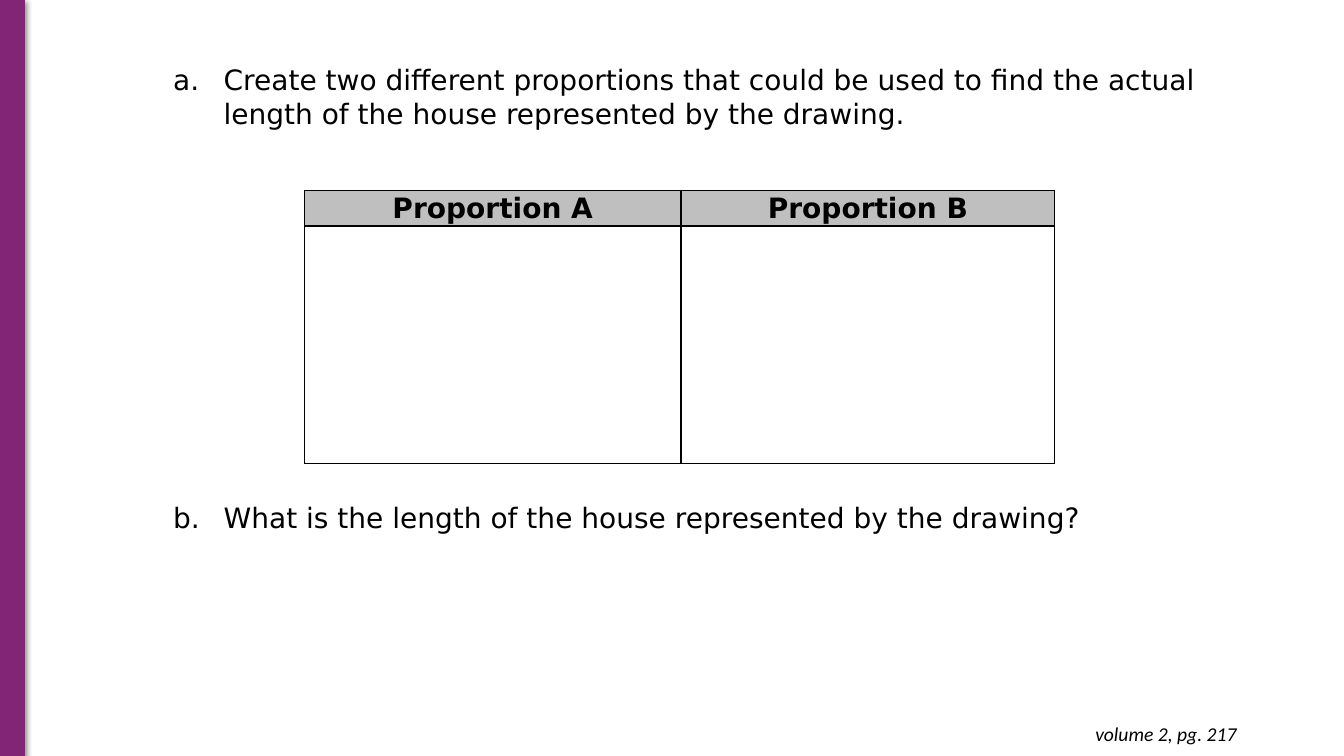
"""Build the slide on finding a house's length with two proportions."""
from dataclasses import dataclass

from lxml.etree import SubElement
from pptx import Presentation
from pptx.dml.color import RGBColor as RGB
from pptx.enum.shapes import MSO_SHAPE as SHAPE
from pptx.enum.text import MSO_AUTO_SIZE as FIT, MSO_ANCHOR as ANCHOR, PP_ALIGN as ALIGN
from pptx.oxml import parse_xml
from pptx.oxml.ns import nsdecls, qn
from pptx.util import Pt


@dataclass(frozen=True)
class Theme:
    accent: RGB = RGB(0x82, 0x25, 0x74)
    ink: RGB = RGB(0, 0, 0)
    header: RGB = RGB(0xBF, 0xBF, 0xBF)
    lesson_font: str = "DejaVu Sans"
    page_font: str = "Calibri"
    lesson_size: int = 20
    page_size: int = 14


THEME = Theme()


def style(paragraph, name, size, bold=False, italic=False):
    font = paragraph.font
    font.name, font.size = name, Pt(size)
    font.bold, font.italic = bold, italic
    font.color.rgb = THEME.ink


def outline(cell):
    for side in ("lnL", "lnR", "lnT", "lnB"):
        cell._tc.get_or_add_tcPr().append(parse_xml(
            f'<a:{side} {nsdecls("a")} w="{Pt(1)}"><a:solidFill>'
            f'<a:srgbClr val="{THEME.ink}"/></a:solidFill></a:{side}>'))


prs = Presentation()
prs.slide_width, prs.slide_height = Pt(960), Pt(540)
slide = prs.slides.add_slide(prs.slide_layouts[1])
unused_title = slide.shapes.title.element
unused_title.getparent().remove(unused_title)

side_bar = slide.shapes.add_shape(SHAPE.RECTANGLE, 0, 0, Pt(17.5), Pt(540.5))
side_bar.fill.solid()
side_bar.fill.fore_color.rgb = side_bar.line.color.rgb = THEME.accent
side_bar.line.width = Pt(0.75)
side_bar.shadow.inherit = False
side_bar.element.spPr.find(qn("a:effectLst")).append(parse_xml(
    f'<a:outerShdw {nsdecls("a")} blurRad="{Pt(4.5)}" dist="{Pt(1.5)}" dir="5400000">'
    f'<a:srgbClr val="{THEME.ink}"><a:alpha val="50000"/></a:srgbClr></a:outerShdw>'))

questions = slide.placeholders[1]
questions.left, questions.top = Pt(116.5), Pt(41)
questions.width, questions.height = Pt(772), Pt(371)
question_text = questions.text_frame
question_text.auto_size = FIT.NONE
question_text.vertical_anchor = ANCHOR.TOP
question_text.text = (
    "Create two different proportions that could be used to find the actual "
    "length of the house represented by the drawing.\n"
    "What is the length of the house represented by the drawing?")
for question, gap in zip(question_text.paragraphs, (0, 265)):
    question.space_before = Pt(gap)
    indent = question._p.get_or_add_pPr()
    indent.set("marL", str(Pt(36)))
    indent.set("indent", str(Pt(-36)))
    SubElement(indent, qn("a:buFont"), typeface=THEME.lesson_font)
    SubElement(indent, qn("a:buAutoNum"), type="alphaLcPeriod")
    style(question, THEME.lesson_font, THEME.lesson_size)

proportions = slide.shapes.add_table(
    2, 2, Pt(217.5), Pt(136), Pt(536), Pt(195)).table
for column, width in zip(proportions.columns, (269, 267)):
    column.width = Pt(width)
for row, height in zip(proportions.rows, (25.5, 169.5)):
    row.height = Pt(height)
for cell in proportions.iter_cells():
    outline(cell)
    cell.fill.background()
for heading, label in zip(proportions.rows[0].cells, ("Proportion A", "Proportion B")):
    heading.fill.solid()
    heading.fill.fore_color.rgb = THEME.header
    heading.margin_left = heading.margin_right = Pt(5)
    heading.margin_top = heading.margin_bottom = 0
    heading.text = label
    caption = heading.text_frame.paragraphs[0]
    caption.alignment, caption.line_spacing = ALIGN.CENTER, 1.07
    style(caption, THEME.lesson_font, THEME.lesson_size, bold=True)

page_note = slide.shapes.add_textbox(Pt(683.5), Pt(508.5), Pt(207), Pt(31.5)).text_frame
page_note.word_wrap = True
page_note.margin_left = page_note.margin_right = Pt(7.2)
page_note.margin_top = page_note.margin_bottom = Pt(7.2)
page_note.text = "volume 2, pg. 217"
page_note.paragraphs[0].alignment = ALIGN.RIGHT
style(page_note.paragraphs[0], THEME.page_font, THEME.page_size, italic=True)

prs.save("out.pptx")
